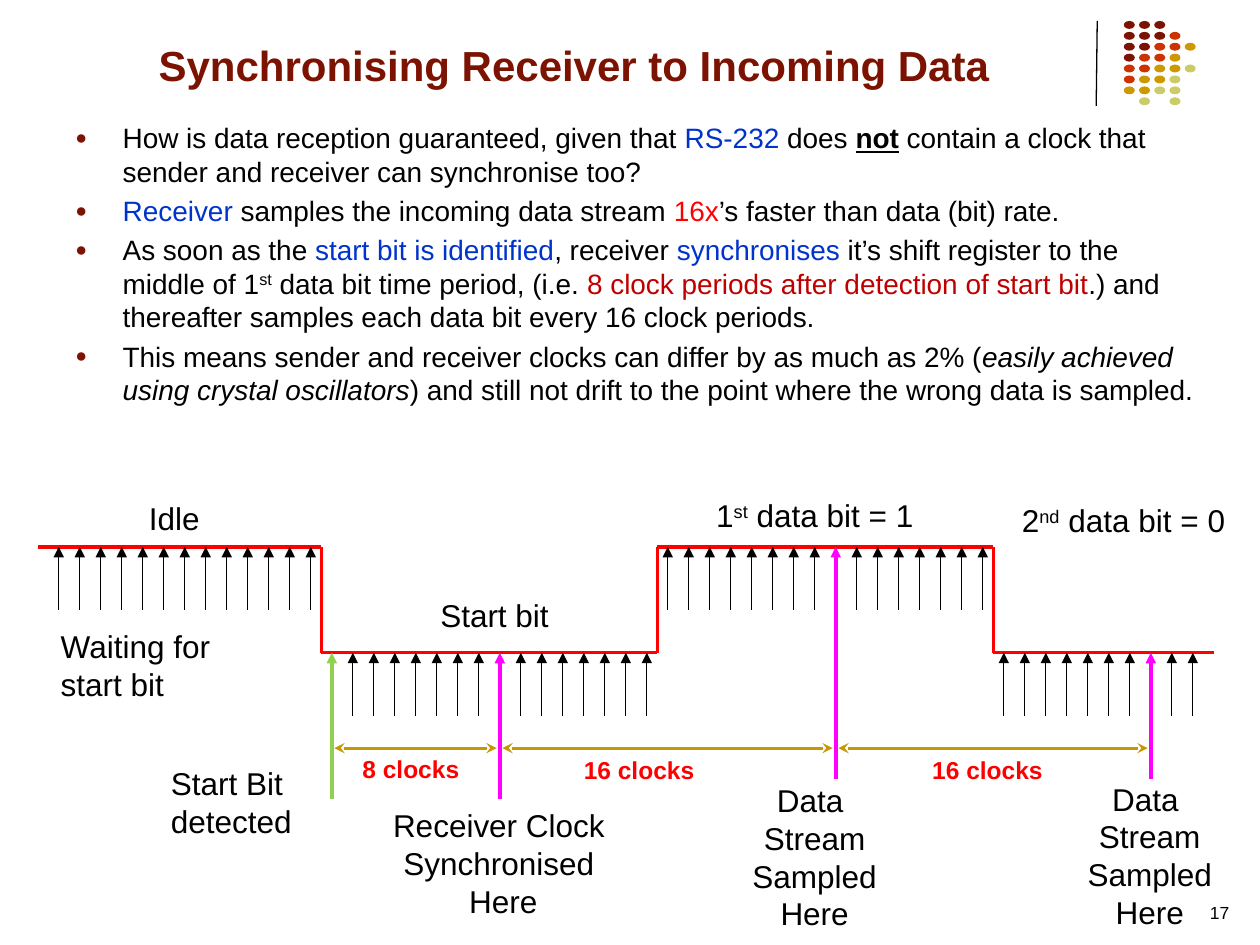
from lxml import etree
from pptx import Presentation
from pptx.dml.color import RGBColor
from pptx.enum.shapes import MSO_CONNECTOR, MSO_SHAPE
from pptx.enum.text import MSO_ANCHOR, MSO_AUTO_SIZE, PP_ALIGN
from pptx.oxml.ns import qn
from pptx.util import Pt

STRAIGHT = MSO_CONNECTOR.STRAIGHT
OVAL = MSO_SHAPE.OVAL
BOTTOM = MSO_ANCHOR.BOTTOM
GROW = MSO_AUTO_SIZE.SHAPE_TO_FIT_TEXT
NO_FIT = MSO_AUTO_SIZE.NONE
LEFT, CENTER, RIGHT = PP_ALIGN.LEFT, PP_ALIGN.CENTER, PP_ALIGN.RIGHT

BLACK, RED, MAROON, BLUE = "000000", "FF0000", "7C1302", "0033CC"
GREEN, MAGENTA, GOLD, CRIMSON = "92D050", "FF00FF", "C89600", "C00000"

HIGH, LOW = 312.5, 373
CLOCK_START, CLOCK_STEP, CLOCK_COUNT = 33.6, 12, 55
EDGES = (12.5, 28.5, 44.5)
MARKERS = {13: (GREEN, 456.5), 21: (MAGENTA, 456.5),
           37: (MAGENTA, 445), 52: (MAGENTA, 445)}

DOT_COLORS = {"m": MAROON, "r": "CC3300", "g": "CC9900", "y": "CCCC66"}
DOT_ROWS = ("mmm", "mmmr", "mmrrg", "mrrg", "rrggy", "rggy", "ggyy", " y y")

BULLETS = [
    [("How is data reception guaranteed, given that ", {}),
     ("RS-232", {"color": BLUE}), (" does ", {}),
     ("not", {"bold": True, "underline": True}),
     (" contain a clock that sender and receiver can synchronise too?", {})],
    [("Receiver", {"color": BLUE}), (" samples the incoming data stream ", {}),
     ("16x", {"color": RED}), ("’s faster than data (bit) rate.", {})],
    [("As soon as the ", {}), ("start bit is identified", {"color": BLUE}),
     (", receiver ", {}), ("synchronises ", {"color": BLUE}),
     ("it’s shift register to the middle of 1", {}), ("st", {"raised": True}),
     (" data bit time period, (i.e. ", {}),
     ("8 clock periods after detection of start bit", {"color": CRIMSON}),
     (".) and thereafter samples each data bit every 16 clock periods.", {})],
    [("This means sender and receiver clocks can differ by as much as 2% (", {}),
     ("easily achieved using crystal oscillators", {"italic": True}),
     (") and still not drift to the point where the wrong data is sampled.", {})],
]


def rgb(color):
    return RGBColor.from_string(color)


def clock_x(index):
    return CLOCK_START + CLOCK_STEP * index


class SlideWriter:
    font_name = "Arial"

    def __init__(self, page):
        self.page = page

    def place(self, shape, left, top, width, height):
        shape.left, shape.top = Pt(left), Pt(top)
        shape.width, shape.height = Pt(width), Pt(height)

    def style(self, para, size, color=BLACK, bold=False, align=LEFT):
        para.alignment = align
        para.font.name = self.font_name
        para.font.size = Pt(size)
        para.font.bold = bold
        para.font.color.rgb = rgb(color)

    def spans(self, para, parts):
        for text, look in parts:
            for number, line in enumerate(text.split("\n")):
                if number:
                    para.add_line_break()
                span = para.add_run()
                span.text = line
                if "color" in look:
                    span.font.color.rgb = rgb(look["color"])
                for name in ("bold", "italic", "underline"):
                    if name in look:
                        setattr(span.font, name, look[name])
                if "raised" in look:
                    span._r.get_or_add_rPr().set("baseline", "30000")

    def title(self, text, *frame):
        box = self.page.shapes.title
        self.place(box, *frame)
        box.text_frame.text = text
        box.text_frame.auto_size = NO_FIT
        box.text_frame.vertical_anchor = BOTTOM
        self.style(box.text_frame.paragraphs[0], 24, MAROON, True, CENTER)

    def label(self, parts, left, top, width, height, size=18, color=BLACK,
              bold=False, align=CENTER, wrap=True):
        box = self.page.shapes.add_textbox(Pt(left), Pt(top), Pt(width), Pt(height))
        box.text_frame.word_wrap = wrap
        box.text_frame.auto_size = GROW
        para = box.text_frame.paragraphs[0]
        self.style(para, size, color, bold, align)
        self.spans(para, [(parts, {})] if isinstance(parts, str) else parts)

    def bullets(self, items, left, top, width, height):
        box = self.page.shapes.add_textbox(Pt(left), Pt(top), Pt(width), Pt(height))
        frame = box.text_frame
        frame.word_wrap = True
        for number, parts in enumerate(items):
            para = frame.add_paragraph() if number else frame.paragraphs[0]
            self.style(para, 16)
            para.space_before = Pt(3.2)
            self.bullet(para)
            self.spans(para, parts)

    def bullet(self, para):
        props = para._p.get_or_add_pPr()
        props.set("marL", str(Pt(27)))
        props.set("indent", str(Pt(-27)))
        color = etree.Element(qn("a:buClr"))
        etree.SubElement(color, qn("a:srgbClr"), val=MAROON)
        size = etree.Element(qn("a:buSzPct"), val="70000")
        font = etree.Element(qn("a:buFont"), typeface=self.font_name)
        mark = etree.Element(qn("a:buChar"), char="●")
        for element in (color, size, font, mark):
            props.find(qn("a:defRPr")).addprevious(element)

    def line(self, start, end, color=BLACK, width=0.75, head=None, tail=None):
        line = self.page.shapes.add_connector(
            STRAIGHT, Pt(start[0]), Pt(start[1]), Pt(end[0]), Pt(end[1]))
        line.line.color.rgb = rgb(color)
        line.line.width = Pt(width)
        for tag, kind in (("a:headEnd", head), ("a:tailEnd", tail)):
            if kind:
                etree.SubElement(line.get_or_add_ln(), qn(tag), type=kind)
        etree.SubElement(line._element.spPr, qn("a:effectLst"))

    def dot(self, left, top, color):
        dot = self.page.shapes.add_shape(OVAL, Pt(left), Pt(top), Pt(6.3), Pt(4.5))
        dot.shadow.inherit = False
        dot.fill.solid()
        dot.fill.fore_color.rgb = rgb(color)
        dot.line.fill.background()


def draw_ornament(writer):
    writer.line((627, 12), (626.4, 60.5))
    for row, keys in enumerate(DOT_ROWS):
        for column, key in enumerate(keys):
            if key in DOT_COLORS:
                writer.dot(642.2 + 8.7 * column, 12 + 6.23 * row, DOT_COLORS[key])


def draw_waveform(writer):
    points = [(clock_x(-1), HIGH)]
    level, other = HIGH, LOW
    for edge in EDGES:
        points += [(clock_x(edge), level), (clock_x(edge), other)]
        level, other = other, level
    points.append((clock_x(CLOCK_COUNT), level))
    for start, end in zip(points, points[1:]):
        writer.line(start, end, RED, 2)


def draw_clocks(writer):
    for index in range(CLOCK_COUNT):
        x = clock_x(index)
        level = (HIGH, LOW)[sum(index > edge for edge in EDGES) % 2]
        color, bottom = MARKERS.get(index, (BLACK, level + 36))
        width = 2 if index in MARKERS else 0.75
        writer.line((x, bottom), (x, level), color, width, tail="triangle")
    marks = list(MARKERS)
    for first, last in zip(marks, marks[1:]):
        writer.line((clock_x(first) + 1.5, 427.5), (clock_x(last) - 1.8, 427.5),
                    GOLD, 1.75, "stealth", "stealth")


def draw_labels(writer):
    writer.label("Idle", 18.6, 281.5, 162, 29)
    writer.label("Start bit", 201.6, 337, 162, 29)
    writer.label("Waiting for start bit", 27.6, 355, 126, 51, align=LEFT)
    writer.label("Start Bit detected", 90.6, 433, 141, 51, align=LEFT)
    for number, suffix, value, left, top in (("1", "st", 1, 381.6, 280),
                                             ("2", "nd", 0, 558, 283)):
        writer.label([(number, {}), (suffix, {"raised": True}),
                      (f" data bit = {value}", {})], left, top, 168, 29)
    writer.label("Receiver Clock\nSynchronised\n Here", 216.6, 457, 137, 73,
                 wrap=False)
    for left, top in ((384.5, 442.8), (576, 442)):
        writer.label("Data \nStream\nSampled\nHere", left, top, 162, 94)
    for count, left, top in ((8, 200, 427.5), (16, 326.5, 428), (16, 525.6, 428)):
        writer.label(f"{count} clocks", left, top, 84, 24, 14, RED, True, LEFT)
    writer.label("17", 541.5, 512, 168, 20, 10, align=RIGHT)


def main():
    deck = Presentation()
    deck.slide_width, deck.slide_height = Pt(720), Pt(540)
    writer = SlideWriter(deck.slides.add_slide(deck.slide_layouts[5]))
    draw_ornament(writer)
    writer.title("Synchronising Receiver to Incoming Data", 31, 15, 594, 40)
    writer.bullets(BULLETS, 36, 65.5, 657.5, 417)
    draw_waveform(writer)
    draw_clocks(writer)
    draw_labels(writer)
    deck.save("out.pptx")


if __name__ == "__main__":
    main()
